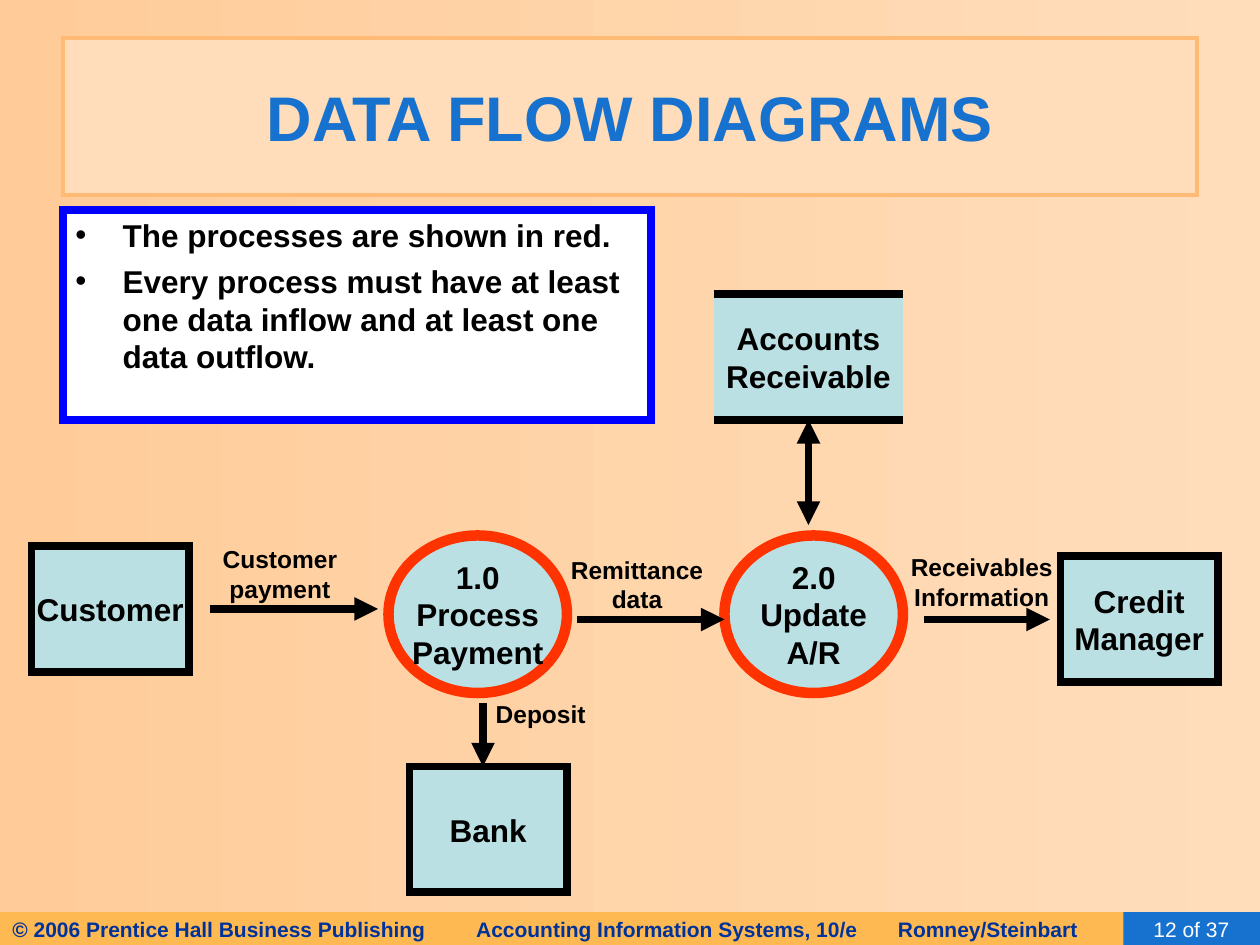
"""Build the data flow diagram slide."""
from dataclasses import dataclass
from typing import Any, Optional

from lxml import etree
from pptx import Presentation
from pptx.dml.color import RGBColor
from pptx.enum.shapes import MSO_CONNECTOR, MSO_SHAPE
from pptx.enum.text import MSO_ANCHOR, PP_ALIGN
from pptx.oxml.ns import qn
from pptx.shapes.autoshape import Shape
from pptx.slide import Slide
from pptx.util import Pt

RECT, OVAL = MSO_SHAPE.RECTANGLE, MSO_SHAPE.OVAL
LINE = MSO_CONNECTOR.STRAIGHT
TOP, MID = MSO_ANCHOR.TOP, MSO_ANCHOR.MIDDLE
LEFT, CENTER, RIGHT = PP_ALIGN.LEFT, PP_ALIGN.CENTER, PP_ALIGN.RIGHT
BOTTOM = 2
COLORS = {
    "sand": "FFCC99", "cream": "FFDDBB", "gold": "FFB953", "amber": "FFBA75",
    "navy": "003399", "sky": "1672CE", "pale": "BBE0E3", "red": "FF3300",
    "blue": "0000FF", "black": "000000", "white": "FFFFFF",
}


@dataclass
class Box:
    x: float
    y: float
    w: float
    h: float
    text: str
    fill: Optional[str] = "pale"
    edge: Optional[str] = "black"
    thick: float = 4.5
    form: MSO_SHAPE = RECT
    size: float = 18
    ink: str = "black"
    bold: bool = True
    align: PP_ALIGN = CENTER
    anchor: MSO_ANCHOR = MID
    wrap: bool = False
    inset: float = 7.2
    tabs: tuple[float, ...] = ()
    bullet: bool = False


@dataclass
class Flow:
    x1: float
    y1: float
    x2: float
    y2: float
    ends: tuple[str, ...] = ("tailEnd",)
    goal: Optional[Shape] = None


def label(x: float, y: float, w: float, h: float, text: str) -> Box:
    """Describe a flow label with neither fill nor edge."""
    return Box(x, y, w, h, text, fill=None, edge=None, size=14, anchor=TOP)


def circle(x: float, text: str) -> Box:
    """Describe a process circle."""
    return Box(x, 306, 102, 90, text, edge="red", thick=6, form=OVAL)


def color(name: str) -> RGBColor:
    """Look up a colour by name."""
    return RGBColor.from_string(COLORS[name])


def apply(item: Any, values: dict[str, Any]) -> None:
    """Set each format value on an item."""
    for key, value in values.items():
        setattr(item, key, value)


def add_tabs(props: Any, stops: tuple[float, ...]) -> None:
    """Add left tab stops to paragraph properties."""
    tabs = etree.SubElement(props, qn("a:tabLst"))
    for stop in stops:
        etree.SubElement(tabs, qn("a:tab"), pos=str(Pt(stop)), algn="l")


def add_dot(props: Any) -> None:
    """Add a hanging bullet to paragraph properties."""
    props.set("marL", str(Pt(27)))
    props.set("indent", str(-Pt(27)))
    etree.SubElement(props, qn("a:buFont"), typeface="Arial")
    etree.SubElement(props, qn("a:buChar"), char="•")


def draw_text(shape: Shape, box: Box) -> None:
    """Write the lines of a box into its shape."""
    frame = shape.text_frame
    apply(frame, {"word_wrap": box.wrap, "vertical_anchor": box.anchor,
                  "margin_right": Pt(box.inset)})
    for i, line in enumerate(box.text.split("\n")):
        para = frame.add_paragraph() if i else frame.paragraphs[0]
        para.alignment = box.align
        if box.bullet:
            if i:
                para.space_before = Pt(4.5)
            add_dot(para._p.get_or_add_pPr())
        if box.tabs:
            add_tabs(para._p.get_or_add_pPr(), box.tabs)
        run = para.add_run()
        run.text = line
        apply(run.font, {"name": "Arial", "size": Pt(box.size), "bold": box.bold})
        run.font.color.rgb = color(box.ink)


def draw_box(slide: Slide, box: Box) -> Shape:
    """Draw a box with its text."""
    place = [Pt(n) for n in (box.x, box.y, box.w, box.h)]
    if box.fill:
        shape = slide.shapes.add_shape(box.form, *place)
        shape.shadow.inherit = False
        shape.fill.solid()
        shape.fill.fore_color.rgb = color(box.fill)
        if box.edge:
            shape.line.color.rgb = color(box.edge)
            shape.line.width = Pt(box.thick)
            etree.SubElement(shape.line._get_or_add_ln(), qn("a:miter"), lim="800000")
        else:
            shape.line.fill.background()
    else:
        shape = slide.shapes.add_textbox(*place)
    draw_text(shape, box)
    return shape


def draw_flow(slide: Slide, flow: Flow) -> None:
    """Draw a thick line with its arrowheads."""
    place = [Pt(n) for n in (flow.x1, flow.y1, flow.x2, flow.y2)]
    link = slide.shapes.add_connector(LINE, *place)
    if flow.goal:
        link.end_connect(flow.goal, BOTTOM)
    link.line.color.rgb = color("black")
    link.line.width = Pt(4.5)
    for end in flow.ends:
        etree.SubElement(link.line._get_or_add_ln(), qn(f"a:{end}"), type="triangle")
    etree.SubElement(link._element.spPr, qn("a:effectLst"))


def paint(slide: Slide) -> None:
    """Fill the background with a sideways blend."""
    fill = slide.background.fill
    fill.gradient()
    fill.gradient_angle = 0
    for stop, name, place in zip(fill.gradient_stops, ("sand", "cream"), (0, 1)):
        stop.color.rgb = color(name)
        stop.position = place


def main() -> None:
    """Build and save the slide."""
    deck = Presentation()
    apply(deck, {"slide_width": Pt(720), "slide_height": Pt(540)})
    slide = deck.slides.add_slide(deck.slide_layouts[6])
    paint(slide)

    footer = ("© 2006 Prentice Hall Business Publishing\t"
              "Accounting Information Systems, 10/e\tRomney/Steinbart")
    rules = ("The processes are shown in red.\nEvery process must have "
             "at least one data inflow and at least one data outflow.")
    boxes = [
        Box(0, 521.25, 666, 18.75, footer, "gold", None, size=12, ink="navy",
            align=LEFT, wrap=True, tabs=(265, 506)),
        Box(642, 521.25, 78, 18.75, "12 of 37", "sky", None, size=12,
            ink="white", bold=False, align=RIGHT, wrap=True, inset=17.5),
        Box(36, 21.6, 648, 90, "DATA FLOW DIAGRAMS", "cream", "amber", 2.5,
            size=36, ink="sky", wrap=True),
        Box(18, 312, 90, 72, "Customer"),
        circle(222, "1.0\nProcess\nPayment"),
        circle(414, "2.0\nUpdate\nA/R"),
        Box(606, 318, 90, 72, "Credit\nManager"),
        Box(234, 438, 90, 72, "Bank"),
    ]
    for box in boxes:
        draw_box(slide, box)

    store = draw_box(slide, Box(408, 168, 108, 72, "Accounts\nReceivable", edge=None))
    flows = [
        Flow(408, 168, 516, 168, ()),
        Flow(408, 240, 516, 240, ()),
        Flow(120, 348, 216, 348),
        Flow(330, 354, 414, 354),
        Flow(528, 354, 600, 354),
        Flow(462, 300, 462, 240, ("headEnd", "tailEnd"), store),
        Flow(276, 402, 276, 438),
    ]
    for flow in flows:
        draw_flow(slide, flow)

    notes = [
        label(120, 307.5, 80, 41, "Customer\npayment"),
        label(319, 313.5, 90, 41, "Remittance\ndata"),
        label(513, 312, 96, 41, "Receivables\nInformation"),
        label(273, 396, 72, 24.5, "Deposit"),
        Box(36, 120, 336, 120, rules, "white", "blue", align=LEFT,
            anchor=TOP, wrap=True, bullet=True),
    ]
    for note in notes:
        draw_box(slide, note)
    deck.save("out.pptx")


if __name__ == "__main__":
    main()
